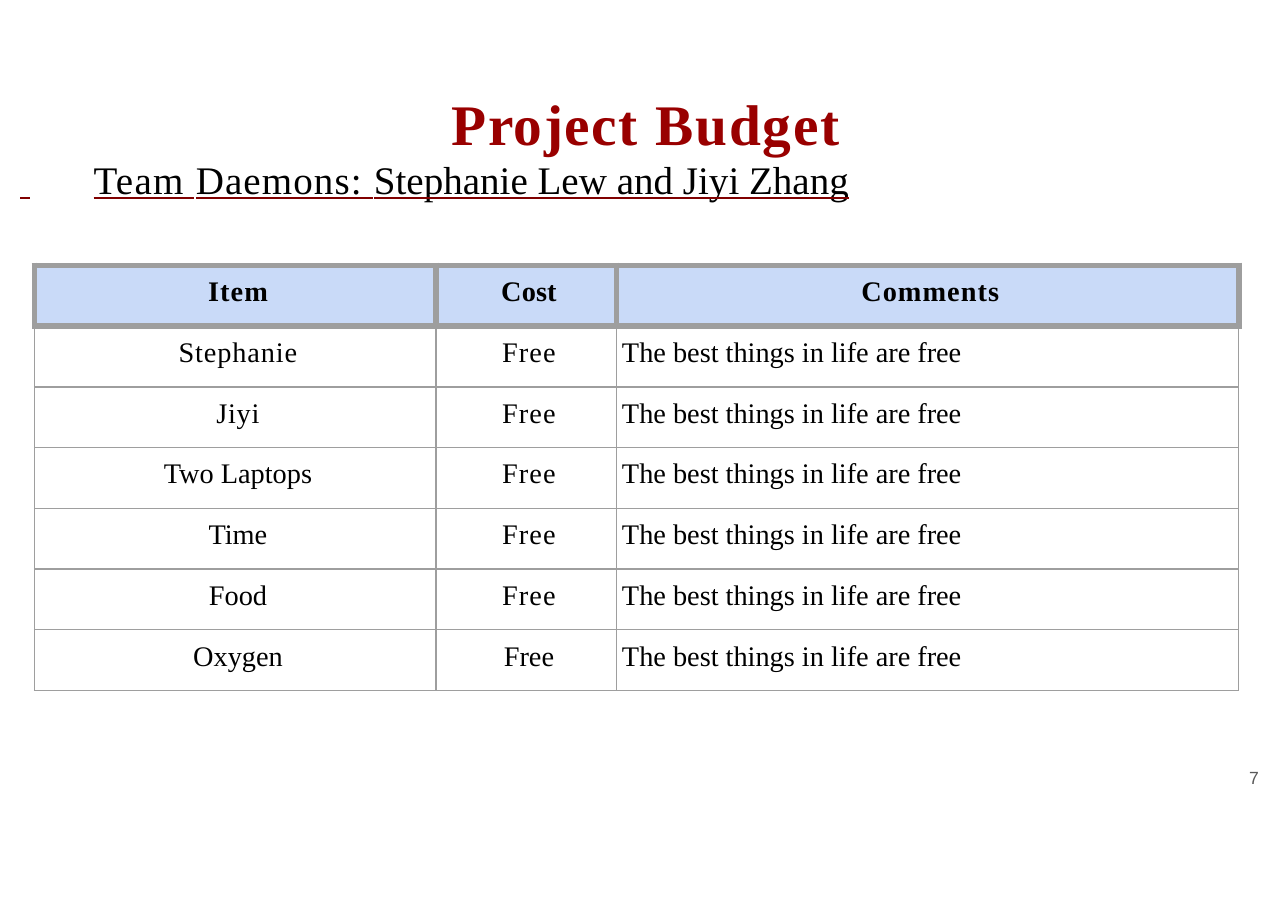
import pptx
import pptx.dml.color
import pptx.enum.text
import pptx.util
from pptx.oxml.ns import qn
from lxml import etree

Pt = pptx.util.Pt
ALIGN = pptx.enum.text.PP_ALIGN
SERIF = "Times New Roman"

# Content: (text, letter spacing in points)
TITLE = [("Project ", 1), ("Budget", 1.1)]
TEAM = [("Team ", 0.8), ("Daemons: ", 0.7), ("Stephanie Lew and Jiyi Zhang", 0)]
COMMENT = ("The best things in life are free", 0)
FREE = ("Free", 0.7)
BUDGET = [
    [("Item", 0.7), ("Cost", 0.1), ("Comments", 0.7)],
    [("Stephanie", 0.6), FREE, COMMENT],
    [("Jiyi", 0.5), FREE, COMMENT],
    [("Two Laptops", 0), FREE, COMMENT],
    [("Time", 0), FREE, COMMENT],
    [("Food", 0), FREE, COMMENT],
    [("Oxygen", 0), ("Free", 0), COMMENT],
]
PAGE = "7"

# Layout in points
COLUMN_WIDTHS = [262.4, 118, 406.6]
ROW_HEIGHT = 39.7
TABLE_LEFT, TABLE_TOP = 22.5, 173.5
CELL_INDENT = 3.6
THIN, THICK = 1, 4.25
RED, BLACK, GRAY = "990000", "000000", "595959"
UNDERLINE, BORDER, HEADER = "800000", "9E9E9E", "C9DAF8"


def rgb(value):
    return pptx.dml.color.RGBColor.from_string(value)


def add_solid(parent, color):
    fill = etree.SubElement(parent, qn("a:solidFill"))
    etree.SubElement(fill, qn("a:srgbClr")).set("val", color)


def add_text(paragraph, text, size=18.5, color=BLACK, font=SERIF, bold=False,
             spacing=0, underline=None):
    run = paragraph.add_run()
    run.text = text
    run.font.size = Pt(size)
    run.font.bold = bold
    run.font.color.rgb = rgb(color)
    props = run.font._element
    props.set("spc", str(round(spacing * 100)))
    if underline:
        run.font.underline = True
        add_solid(etree.SubElement(props, qn("a:uFill")), underline)
    run.font.name = font


def set_frame(frame, top=0):
    frame.word_wrap = True
    frame.auto_size = pptx.enum.text.MSO_AUTO_SIZE.NONE
    frame.vertical_anchor = pptx.enum.text.MSO_ANCHOR.TOP
    frame.margin_left = frame.margin_right = frame.margin_bottom = 0
    frame.margin_top = Pt(top)


def set_borders(cell, widths):
    for side, width in widths.items():
        line = etree.SubElement(cell._tc.get_or_add_tcPr(), qn("a:ln" + side))
        line.set("w", str(Pt(width)))
        add_solid(line, BORDER)


def add_title(slide):
    title = slide.shapes.title
    title.left, title.top, title.width, title.height = (
        Pt(12.2), Pt(57.6), Pt(819.4), Pt(105.8))
    set_frame(title.text_frame, top=0.7)

    heading = title.text_frame.paragraphs[0]
    heading.alignment = ALIGN.CENTER
    heading.line_spacing = Pt(44)
    for text, spacing in TITLE:
        add_text(heading, text, size=37.5, color=RED, bold=True, spacing=spacing)

    # Team line: underlined mark, tab, then the names
    team = title.text_frame.add_paragraph()
    team.alignment = ALIGN.LEFT
    team.line_spacing = Pt(29.6)
    props = team._p.get_or_add_pPr()
    props.set("marL", str(Pt(1)))
    stop = etree.SubElement(etree.SubElement(props, qn("a:tabLst")), qn("a:tab"))
    stop.set("pos", str(Pt(48)))
    stop.set("algn", "l")
    add_text(team, " ", size=25.5, underline=UNDERLINE)
    add_text(team, "\t", size=25.5)
    for text, spacing in TEAM:
        add_text(team, text, size=25.5, spacing=spacing, underline=UNDERLINE)


def add_budget(slide):
    budget = slide.shapes.add_table(
        len(BUDGET), len(COLUMN_WIDTHS), Pt(TABLE_LEFT), Pt(TABLE_TOP),
        Pt(sum(COLUMN_WIDTHS)), Pt(ROW_HEIGHT * len(BUDGET))).table
    budget.first_row = budget.horz_banding = False
    for column, width in zip(budget.columns, COLUMN_WIDTHS):
        column.width = Pt(width)
    for r, entries in enumerate(BUDGET):
        budget.rows[r].height = Pt(ROW_HEIGHT)
        for c, (text, spacing) in enumerate(entries):
            cell = budget.cell(r, c)
            cell.margin_left = cell.margin_right = cell.margin_bottom = 0
            cell.margin_top = Pt(7.3)
            side = THICK if r == 0 else THIN
            set_borders(cell, {"L": side, "R": side,
                               "T": THICK if r <= 1 else THIN, "B": side})
            if r == 0:
                cell.fill.solid()
                cell.fill.fore_color.rgb = rgb(HEADER)
            else:
                cell.fill.background()
            entry = cell.text_frame.paragraphs[0]
            is_comment = r > 0 and c == 2
            entry.alignment = ALIGN.LEFT if is_comment else ALIGN.CENTER
            entry._p.get_or_add_pPr().set("marL", str(Pt(CELL_INDENT)))
            add_text(entry, text, bold=r == 0, spacing=spacing)


def add_page_number(slide):
    page = slide.shapes.add_textbox(Pt(814.3), Pt(501.1), Pt(10.8), Pt(15.1))
    set_frame(page.text_frame)
    number = page.text_frame.paragraphs[0]
    number._p.get_or_add_pPr().set("marL", str(Pt(2)))
    add_text(number, PAGE, size=11.5, color=GRAY, font="Arial", spacing=0.1)


def main():
    deck = pptx.Presentation()
    deck.slide_width, deck.slide_height = Pt(841.68), Pt(594.72)
    slide = deck.slides.add_slide(deck.slide_layouts[5])
    add_title(slide)
    add_budget(slide)
    add_page_number(slide)
    deck.save("out.pptx")


if __name__ == "__main__":
    main()
